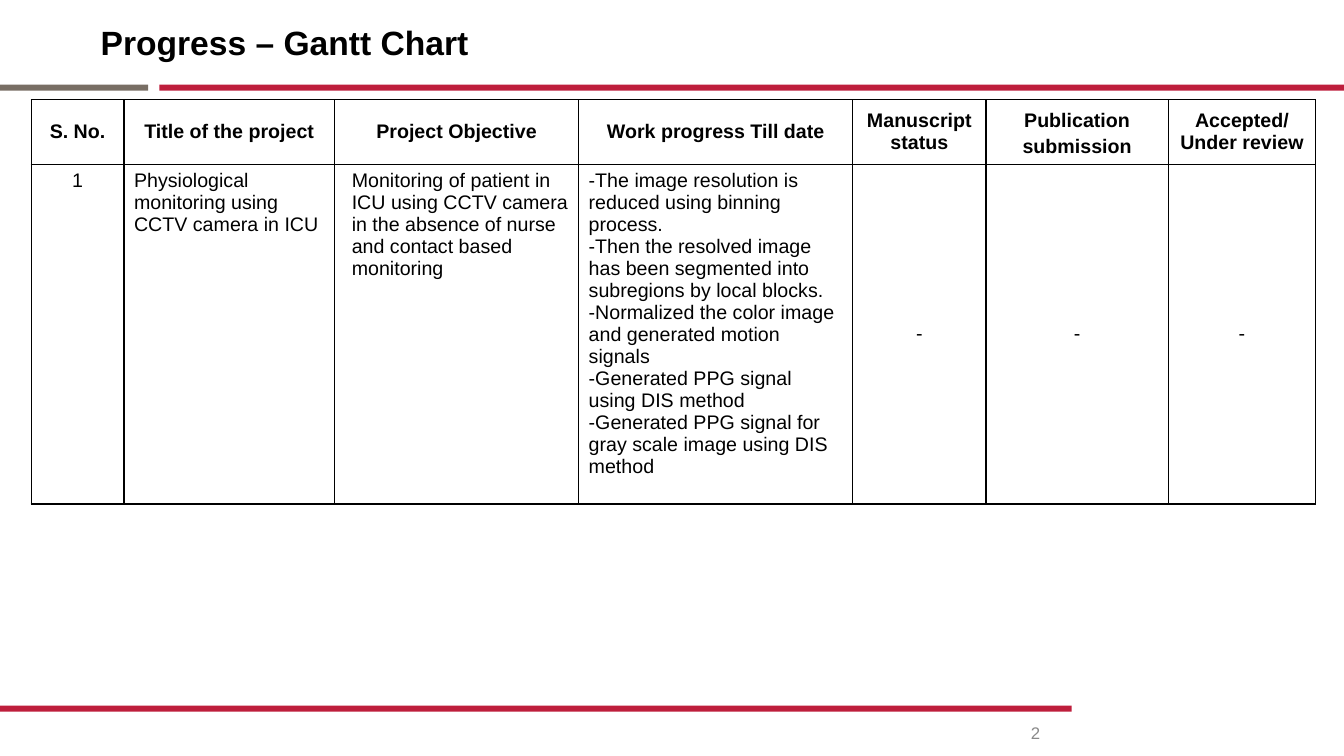
from lxml import etree
from pptx import Presentation
from pptx.dml.color import RGBColor
from pptx.enum.shapes import MSO_SHAPE as SHAPE
from pptx.enum.text import MSO_ANCHOR as ANCHOR, PP_ALIGN as ALIGN
from pptx.oxml import parse_xml
from pptx.oxml.ns import nsdecls
from pptx.util import Inches, Pt

RED = RGBColor(0xBE, 0x1E, 0x3C)
TAUPE = RGBColor(0x78, 0x6E, 0x64)
BLACK = RGBColor(0, 0, 0)
GRAY = RGBColor(0x89, 0x89, 0x89)


def set_text(tf, text, size, color=BLACK, bold=False, align=ALIGN.LEFT):
    tf.word_wrap = True
    tf.text = text
    for p in tf.paragraphs:
        p.alignment = align
        p.font.name = "Arial"
        p.font.size = Pt(size)
        p.font.bold = bold
        p.font.color.rgb = color


def set_borders(cell):
    tc_pr = cell._tc.get_or_add_tcPr()
    for i, side in enumerate(("lnL", "lnR", "lnT", "lnB")):
        ln = parse_xml(f'<a:{side} {nsdecls("a")} w="12700"><a:solidFill>'
                       f'<a:srgbClr val="{BLACK}"/></a:solidFill></a:{side}>')
        tc_pr.insert(i, ln)


prs = Presentation()
prs.slide_width = Inches(13.33)
prs.slide_height = Inches(7.5)
s = prs.slides.add_slide(prs.slide_layouts[6])

bars = [(1.58, 0.84, 11.75, RED), (0, 0.84, 1.47, TAUPE), (0, 7, 10.63, RED)]
for left, top, width, color in bars:
    sp = s.shapes.add_shape(SHAPE.RECTANGLE, Inches(left), Inches(top),
                            Inches(width), Inches(0.06))
    sp.shadow.inherit = False
    sp.fill.solid()
    sp.fill.fore_color.rgb = color
    sp.line.fill.background()

title = s.shapes.add_textbox(Inches(0.9), Inches(0.17), Inches(12), Inches(0.48))
set_text(title.text_frame, "Progress – Gantt Chart", 24, bold=True)

widths = [0.92, 2.09, 2.42, 2.72, 1.32, 1.81, 1.46]
heights = [0.64, 3.37]
headers = ["S. No.", "Title of the project", "Project Objective",
           "Work progress Till date", "Manuscript status",
           "Publication\nsubmission", "Accepted/ Under review"]
progress = [
    "-The image resolution is reduced using binning process.",
    "-Then the resolved image has been segmented into subregions by local blocks.",
    "-Normalized the color image",
    "and generated motion signals",
    "-Generated PPG signal using DIS method",
    "-Generated PPG signal for gray scale image using DIS method",
]
project = ["1", "Physiological monitoring using CCTV camera in ICU",
           "Monitoring of patient in ICU using CCTV camera in the absence of "
           "nurse and contact based monitoring",
           "\n".join(progress), "-", "-", "-"]

table = s.shapes.add_table(2, len(widths), Inches(0.31), Inches(0.99),
                           Inches(sum(widths)), Inches(sum(heights))).table
table.first_row = False
table.horz_banding = False
for column, width in zip(table.columns, widths):
    column.width = Inches(width)
for row, height in zip(table.rows, heights):
    row.height = Inches(height)

for r, texts in enumerate([headers, project]):
    for c, text in enumerate(texts):
        cell = table.cell(r, c)
        is_header = r == 0
        centered = is_header or c not in (1, 2, 3)
        set_text(cell.text_frame, text, 14, bold=is_header,
                 align=ALIGN.CENTER if centered else ALIGN.LEFT)
        middle = is_header or c > 3
        cell.vertical_anchor = ANCHOR.MIDDLE if middle else ANCHOR.TOP
        cell.fill.background()
        set_borders(cell)

for p in table.cell(0, 5).text_frame.paragraphs:
    p.line_spacing = 1.15
table.cell(1, 2).margin_left = Inches(0.17)

number = s.shapes.add_textbox(Inches(10.07), Inches(7.16), Inches(0.4), Inches(0.22))
tf = number.text_frame
tf.margin_left = tf.margin_right = tf.margin_bottom = 0
tf.margin_top = Inches(0.01)
set_text(tf, "2", 12, GRAY, align=ALIGN.CENTER)

prs.save("out.pptx")
